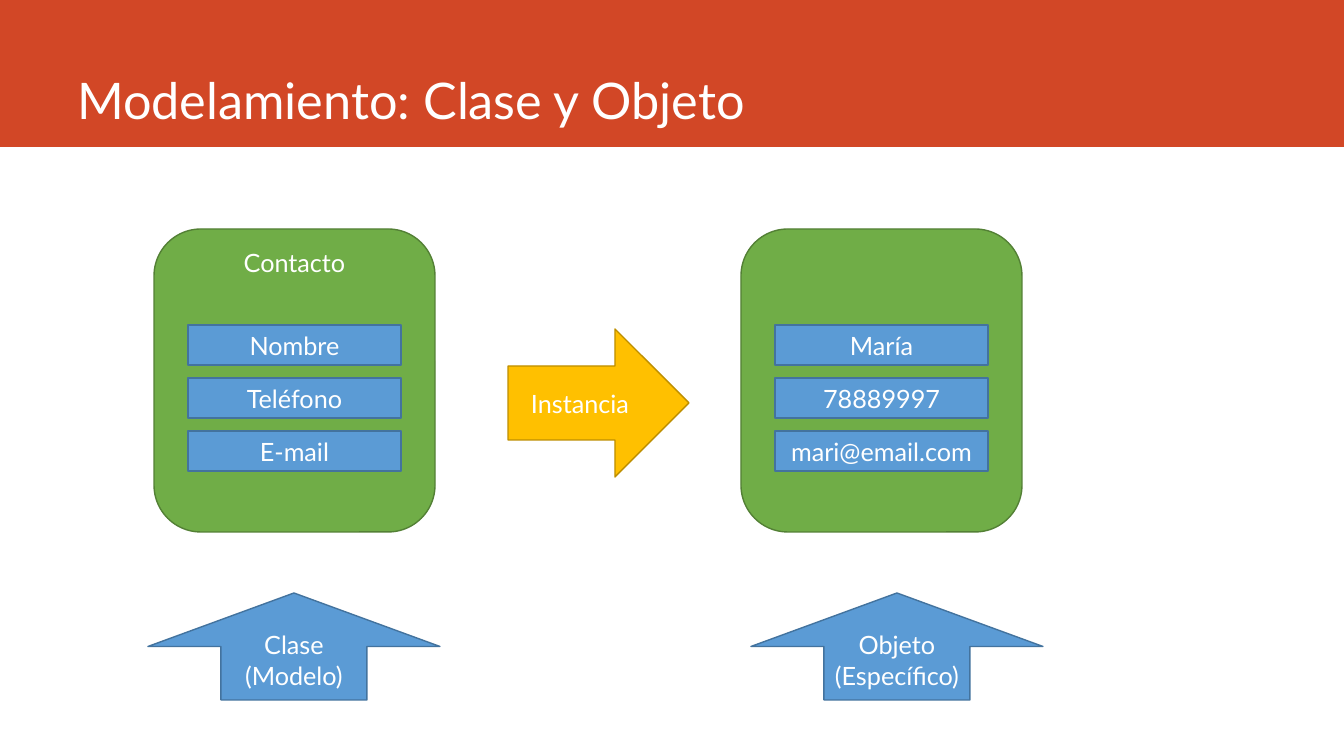
from pptx import Presentation
from pptx import util as u
from pptx.dml.color import RGBColor
from pptx.enum import shapes, text

PX = 914400 / 100.8  # EMU per pixel
FONT = "Lato"
WHITE = RGBColor(0xFF, 0xFF, 0xFF)
RED = RGBColor(0xD2, 0x47, 0x26)
GREEN = RGBColor(0x70, 0xAD, 0x47)
DARK_GREEN = RGBColor(0x53, 0x80, 0x35)
BLUE = RGBColor(0x5B, 0x9B, 0xD5)
DARK_BLUE = RGBColor(0x43, 0x73, 0x9E)
GOLD = RGBColor(0xFF, 0xC0, 0x00)
DARK_GOLD = RGBColor(0xBD, 0x8E, 0x00)
KIND = shapes.MSO_SHAPE
ANCHOR = text.MSO_ANCHOR


def write(shape, wording, size, align, anchor):
    frame = shape.text_frame
    frame.text = wording
    frame.vertical_anchor = anchor
    for paragraph in frame.paragraphs:
        paragraph.alignment = align
        paragraph.font.name = FONT
        paragraph.font.size = u.Pt(size)
        paragraph.font.color.rgb = WHITE


def add_block(kind, box, fill, line, wording="", anchor=ANCHOR.MIDDLE):
    """Add a filled shape with centred text; box is left, top, width, height in px."""
    shape = slide.shapes.add_shape(kind, *(round(value * PX) for value in box))
    shape.shadow.inherit = False
    shape.fill.solid()
    shape.fill.fore_color.rgb = fill
    if line is None:
        shape.line.fill.background()
    else:
        shape.line.color.rgb = line
        shape.line.width = u.Pt(1)
    if wording:
        write(shape, wording, 18, text.PP_ALIGN.CENTER, anchor)
    return shape


presentation = Presentation()
presentation.slide_width = round(1344 * PX)
presentation.slide_height = round(756 * PX)
slide = presentation.slides.add_slide(presentation.slide_layouts[5])

# Title over a full-width band
title = slide.shapes.title
title.left, title.top = round(67 * PX), 0
title.width, title.height = round(1184 * PX), round(135 * PX)
write(title, "Modelamiento: Clase y Objeto", 36, text.PP_ALIGN.LEFT, ANCHOR.BOTTOM)
title.text_frame.auto_size = text.MSO_AUTO_SIZE.NONE
band = add_block(KIND.RECTANGLE, (0, 0, 1344, 147), RED, None)
title._element.addprevious(band._element)

# Class and object cards, each with its fields and an arrow below
cards = [
    (154, "Contacto", ["Nombre", "Teléfono", "E-mail"], 148, "Clase\n(Modelo)"),
    (741, "", ["María", "78889997", "mari@email.com"], 751, "Objeto\n(Específico)"),
]
for left, heading, fields, arrow_left, caption in cards:
    add_block(KIND.ROUNDED_RECTANGLE, (left, 229, 281, 303), GREEN, DARK_GREEN,
              heading, ANCHOR.TOP)
    for row, field in enumerate(fields):
        add_block(KIND.RECTANGLE, (left + 34, 325 + 53 * row, 213, 40), BLUE, DARK_BLUE, field)
    arrow = add_block(KIND.UP_ARROW, (arrow_left, 593, 292, 107), BLUE, DARK_BLUE, caption)
    arrow.text_frame.word_wrap = False

add_block(KIND.RIGHT_ARROW, (508, 329, 181, 148), GOLD, DARK_GOLD, "Instancia")

presentation.save("out.pptx")
